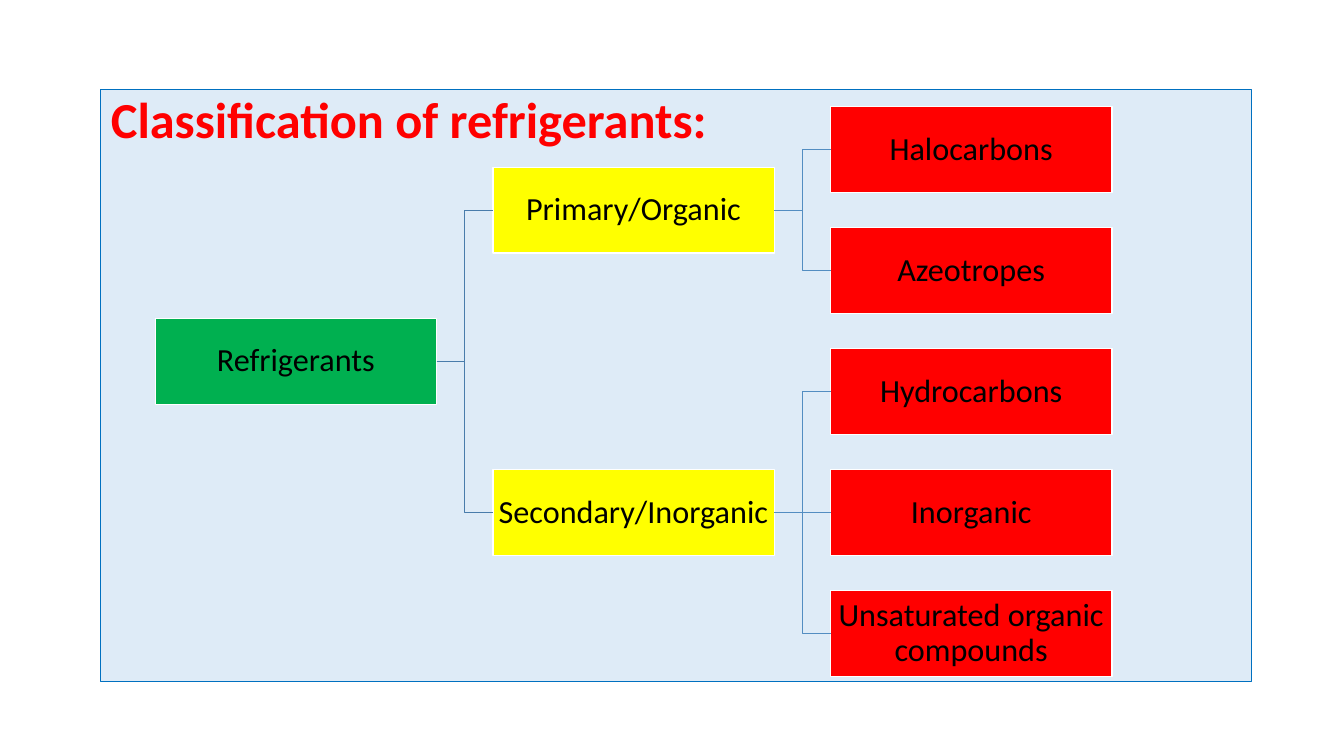
from itertools import count
from lxml import etree
from pptx import Presentation
from pptx.dml.color import RGBColor
from pptx.enum.shapes import MSO_CONNECTOR, MSO_SHAPE
from pptx.enum.text import MSO_ANCHOR, MSO_AUTO_SIZE, PP_ALIGN
from pptx.oxml.ns import qn
from pptx.util import Pt

RECT = MSO_SHAPE.RECTANGLE
ELBOW, STRAIGHT = MSO_CONNECTOR.ELBOW, MSO_CONNECTOR.STRAIGHT
MIDDLE, TOP = MSO_ANCHOR.MIDDLE, MSO_ANCHOR.TOP
CENTER, LEFT = PP_ALIGN.CENTER, PP_ALIGN.LEFT
FIXED = MSO_AUTO_SIZE.NONE

BLACK = RGBColor(0x00, 0x00, 0x00)
WHITE = RGBColor(0xFF, 0xFF, 0xFF)
RED = RGBColor(0xFF, 0x00, 0x00)
YELLOW = RGBColor(0xFF, 0xFF, 0x00)
GREEN = RGBColor(0x00, 0xB0, 0x50)
PALE = RGBColor(0xDE, 0xEB, 0xF7)
EDGE = RGBColor(0x00, 0x70, 0xC0)
LEVELS = [GREEN, YELLOW, RED]
LINKS = [RGBColor(0x49, 0x7C, 0xAB), RGBColor(0x53, 0x8D, 0xC1)]

NODE_W, NODE_H = 201, 61.4
STEP_X, STEP_Y = 241.2, 86.4
LEFT_SITE, RIGHT_SITE = 1, 3

TREE = ("Refrigerants", [
    ("Primary/Organic", [("Halocarbons", []), ("Azeotropes", [])]),
    ("Secondary/Inorganic", [
        ("Hydrocarbons", []),
        ("Inorganic", []),
        ("Unsaturated organic compounds", []),
    ]),
])


def write(shape, text, size=23, color=BLACK, bold=False, align=CENTER,
          anchor=MIDDLE, before=0, inset=(1.5, 1.5)):
    frame = shape.text_frame
    frame.word_wrap = True
    frame.auto_size = FIXED
    frame.vertical_anchor = anchor
    frame.margin_left = frame.margin_right = Pt(inset[0])
    frame.margin_top = frame.margin_bottom = Pt(inset[1])
    para = frame.paragraphs[0]
    para.alignment = align
    para.line_spacing = 0.9
    para.space_before = Pt(before)
    run = para.add_run()
    run.text = text
    font = run.font
    font.name, font.size, font.bold = "Calibri", Pt(size), bold
    font.color.rgb = color
    return para


def paint(shape, fill, line, width):
    shape.fill.solid()
    shape.fill.fore_color.rgb = fill
    shape.line.color.rgb = line
    shape.line.width = Pt(width)


def add_panel(slide, x, y, w, h):
    panel = slide.placeholders[1]
    panel.left, panel.top, panel.width, panel.height = map(Pt, (x, y, w, h))
    paint(panel, PALE, EDGE, 0.75)
    para = write(panel, "Classification of refrigerants:", size=36, color=RED,
                 bold=True, align=LEFT, anchor=TOP, before=10,
                 inset=(7.2, 3.6))
    props = para._p.get_or_add_pPr()
    props.set("marL", "0")
    props.set("indent", "0")
    etree.SubElement(props, qn("a:buNone"))


def add_node(slide, text, x, y, fill):
    node = slide.shapes.add_shape(RECT, Pt(x), Pt(y), Pt(NODE_W), Pt(NODE_H))
    node.shadow.inherit = False
    paint(node, fill, WHITE, 1)
    write(node, text)
    return node


def add_link(slide, start, end, color):
    kind = STRAIGHT if abs(start.top - end.top) < Pt(1) else ELBOW
    link = slide.shapes.add_connector(kind, 0, 0, 0, 0)
    link.begin_connect(start, RIGHT_SITE)
    link.end_connect(end, LEFT_SITE)
    link.line.color.rgb = color
    link.line.width = Pt(1)
    etree.SubElement(link._element.spPr, qn("a:effectLst"))


def add_tree(slide, x, y, branch, rows, level=0):
    text, parts = branch
    kids = [add_tree(slide, x, y, part, rows, level + 1) for part in parts]
    if kids:
        row = sum(spot for _, spot in kids) / len(kids)
    else:
        row = next(rows)
    node = add_node(slide, text, x + level * STEP_X, y + row * STEP_Y,
                    LEVELS[level])
    for kid, _ in kids:
        add_link(slide, node, kid, LINKS[level])
    return node, row


def build_slide(deck, x, y, w, h):
    slide = deck.slides.add_slide(deck.slide_layouts[1])
    title = slide.shapes.title._element
    title.getparent().remove(title)
    add_panel(slide, x, y, w, h)
    add_tree(slide, x + 38.9, y + 12.3, TREE, count())


deck = Presentation()
deck.slide_width, deck.slide_height = Pt(960), Pt(540)
build_slide(deck, 72, 64, 822, 422.6)
deck.save("out.pptx")
